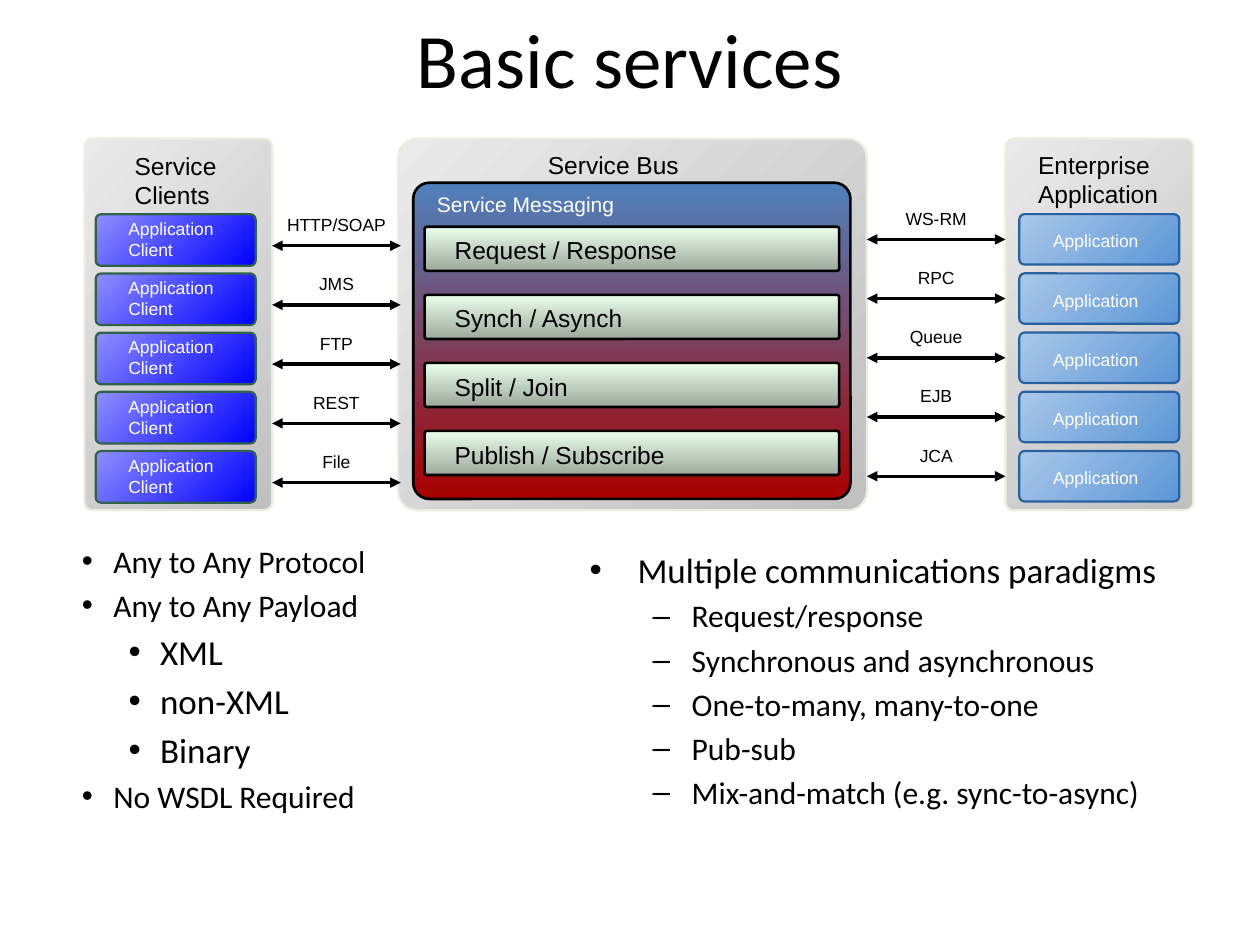
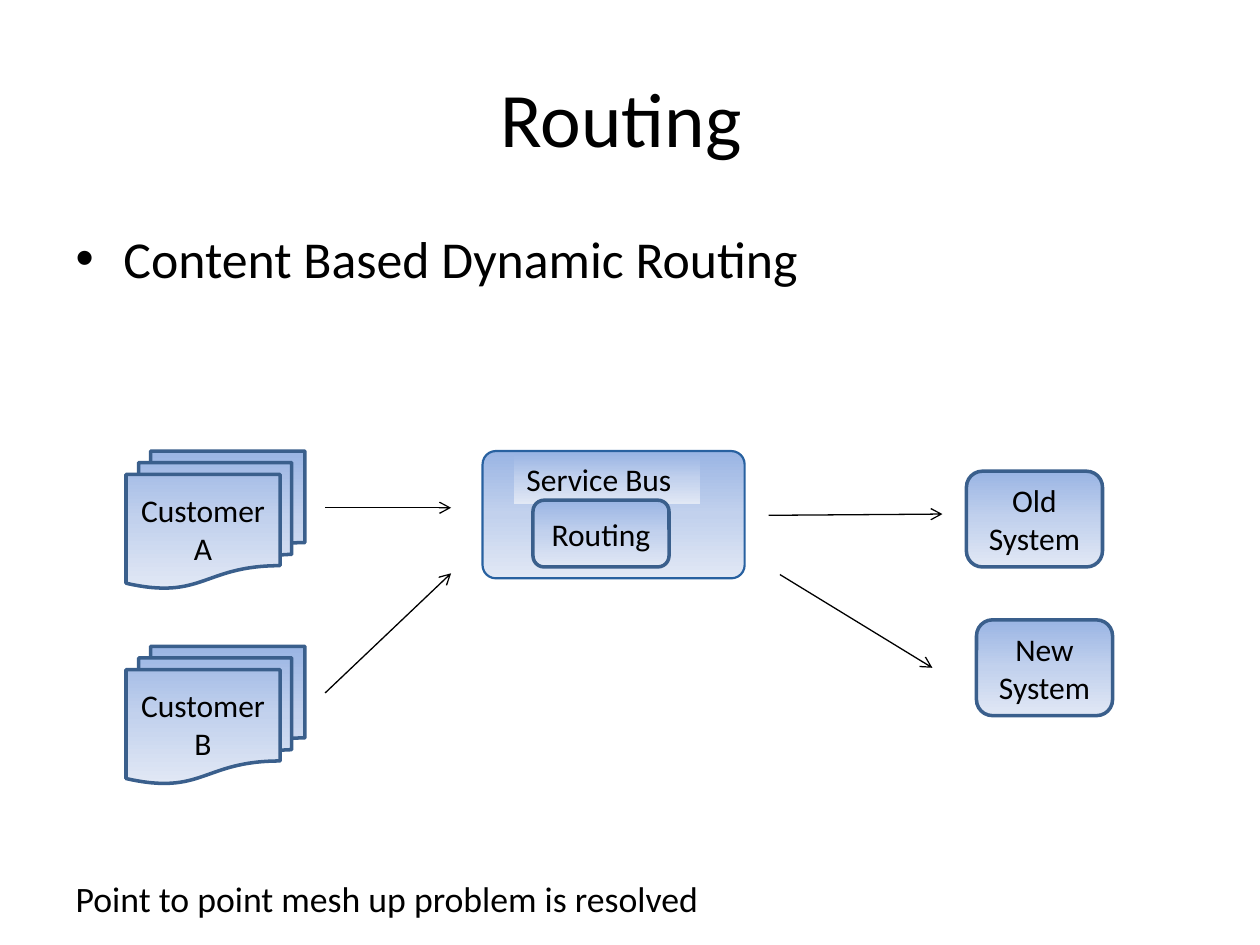
from lxml import etree
from pptx import Presentation
from pptx.dml.color import RGBColor
from pptx.enum.shapes import MSO_CONNECTOR, MSO_SHAPE
from pptx.enum.text import MSO_ANCHOR, MSO_AUTO_SIZE, PP_ALIGN
from pptx.oxml.ns import qn
from pptx.util import Inches, Pt

ROUNDED = MSO_SHAPE.ROUNDED_RECTANGLE
RECTANGLE = MSO_SHAPE.RECTANGLE
DOCUMENTS = MSO_SHAPE.FLOWCHART_MULTIDOCUMENT
STRAIGHT = MSO_CONNECTOR.STRAIGHT
LEFT, CENTER = PP_ALIGN.LEFT, PP_ALIGN.CENTER
TOP, MIDDLE = MSO_ANCHOR.TOP, MSO_ANCHOR.MIDDLE

# Shared look
COLORS = {
    "black": "000000", "white": "FFFFFF",
    "panel_light": "EAEAEA", "panel_dark": "C0C0C0", "panel_line": "EEECE1",
    "client_light": "8F8FFF", "client_dark": "0000FF", "client_line": "30624B",
    "app_light": "AAC8EA", "app_dark": "5C96D6", "app_line": "2861A0",
    "bus_top": "4F81BD", "bus_bottom": "A80000",
    "bar_top": "EBFFEB", "bar_bottom": "9CA99C",
    "box_top": "9AB5E4", "box_middle": "C2D1ED", "box_bottom": "E1E8F5",
    "box_line": "3A5F8C",
}
# Styles: gradient colours, angle, line colour, line width, corner radius
STYLES = {
    "panel": (("panel_light", "panel_dark"), 45, "panel_line", 1.25, 0.043),
    "bus_panel": (("panel_light", "panel_dark"), 45, "panel_line", 1.25, 0.051),
    "client": (("client_light", "client_dark"), 45, "client_line", 1.25, 0.104),
    "app": (("app_light", "app_dark"), 45, "app_line", 1.25, 0.104),
    "messaging": (("bus_top", "bus_bottom"), 90, "black", 1.5, 0.051),
    "bar": (("bar_top", "bar_bottom"), 90, "black", 1.5, 0.051),
    "box": (("box_top", "box_middle", "box_bottom"), 90, "box_line", 2, None),
    "bus": (("box_top", "box_middle", "box_bottom"), 90, "app_line", 1.25, 0.104),
    "bus_label": (("box_top", "box_middle", "box_bottom"), 90, None, 0, None),
}

# Content of slide 1
PANELS = [("panel", 7.98, 1.49), ("bus_panel", 3.16, 3.72), ("panel", 0.67, 1.49)]
HEADINGS = [
    (["Service", "Clients"], (0.97, 1.15, 0.89, 0.57)),
    (["Service Bus"], (4.25, 1.14, 1.25, 0.34)),
    (["Enterprise Application"], (8.14, 1.14, 1.21, 0.57)),
]
ROW_COUNT, ROW_TOP, ROW_STEP = 5, 1.7, 0.47
BARS = ["Request / Response", "Synch / Asynch", "Split / Join", "Publish / Subscribe"]
BAR_TOP, BAR_STEP = 1.8, 0.54
# Lanes: start, end, first arrow height, labels with box widths
LANES = [
    (2.16, 3.18, 1.95, [("HTTP/SOAP", 0.99), ("JMS", 0.49), ("FTP", 0.46),
                        ("REST", 0.57), ("File", 0.44)]),
    (6.88, 7.98, 1.9, [("WS-RM", 0.69), ("RPC", 0.48), ("Queue", 0.43),
                       ("EJB", 0.47), ("JCA", 0.48)]),
]
# Lists: (level, text); levels: size, left margin, hanging indent, bullet
PROTOCOL_LIST = [(0, "Any to Any Protocol"), (0, "Any to Any Payload"), (1, "XML"),
                 (1, "non-XML"), (1, "Binary"), (0, "No WSDL Required")]
PROTOCOL_LEVELS = [(18, 0.25, 0.25, "•"), (20, 0.62, 0.25, "•")]
PARADIGM_LIST = [(0, "Multiple communications paradigms"), (1, "Request/response"),
                 (1, "Synchronous and asynchronous"), (1, "One-to-many, many-to-one"),
                 (1, "Pub-sub"), (1, "Mix-and-match (e.g. sync-to-async)")]
PARADIGM_LEVELS = [(20, 0.38, 0.38, "•"), (18, 0.81, 0.31, "–")]

# Content of slide 2
ROUTING_LIST = [(0, "Content Based Dynamic Routing")]
ROUTING_LEVELS = [(29.6, 0.38, 0.38, "•")]
CLOSING_LINE = "Point to point mesh up problem is resolved"
ROUTING_BOXES = [
    (DOCUMENTS, "box", "Customer A", (1, 3.58, 1.42, 1.09), CENTER, MIDDLE),
    (DOCUMENTS, "box", "Customer B", (1, 5.13, 1.42, 1.09), CENTER, MIDDLE),
    (ROUNDED, "bus", "", (3.83, 3.58, 2.08, 1.01), CENTER, MIDDLE),
    (RECTANGLE, "bus_label", "Service Bus", (4.08, 3.6, 1.48, 0.4), LEFT, TOP),
    (ROUNDED, "box", "Routing ", (4.23, 3.97, 1.08, 0.53), CENTER, MIDDLE),
    (ROUNDED, "box", "Old System", (7.67, 3.74, 1.08, 0.76), CENTER, MIDDLE),
    (ROUNDED, "box", "New System", (7.75, 4.92, 1.08, 0.76), CENTER, MIDDLE),
]
ROUTES = [((2.58, 4.03), (3.58, 4.03)), ((2.58, 5.5), (3.58, 4.55)),
          ((6.1, 4.09), (7.48, 4.08)), ((6.19, 4.56), (7.4, 5.3))]


def rgb(name):
    return RGBColor.from_string(COLORS[name])


def write_text(shape, lines, size=18, font="Calibri", color="black", align=LEFT,
               anchor=TOP, wrap=True, margins=None, levels=None):
    """Write lines; with levels, each line is a (level, text) pair."""
    frame = shape.text_frame
    frame.auto_size = MSO_AUTO_SIZE.NONE
    frame.word_wrap = wrap
    frame.vertical_anchor = anchor
    if margins is not None:
        frame.margin_left = frame.margin_right = Inches(margins)
        frame.margin_top = frame.margin_bottom = Inches(margins)
    for index, line in enumerate(lines):
        paragraph = frame.paragraphs[0] if index == 0 else frame.add_paragraph()
        level, text = line if levels else (0, line)
        paragraph.text = text
        paragraph.alignment = align
        text_size = size
        if levels:
            text_size, left, hanging, bullet = levels[level]
            paragraph.level = level
            set_bullet(paragraph, left, hanging, bullet)
        for run in paragraph.runs:
            run.font.size = Pt(text_size)
            run.font.name = font
            run.font.color.rgb = rgb(color)


def set_bullet(paragraph, left, hanging, bullet):
    properties = paragraph._p.get_or_add_pPr()
    properties.set("marL", str(Inches(left)))
    properties.set("indent", str(-Inches(hanging)))
    if bullet:
        etree.SubElement(properties, qn("a:buChar")).set("char", bullet)
    else:
        etree.SubElement(properties, qn("a:buNone"))


def place(shape, box):
    shape.left, shape.top, shape.width, shape.height = map(Inches, box)


def add_title(slide, text, top):
    place(slide.shapes.title, (0.5, top, 9, 1.25))
    write_text(slide.shapes.title, [text], size=44, align=CENTER, anchor=MIDDLE)


def add_label(slide, lines, box, **text_format):
    write_text(slide.shapes.add_textbox(*map(Inches, box)), lines, **text_format)


def add_box(slide, style, box, kind=ROUNDED):
    names, angle, line_color, line_width, radius = STYLES[style]
    shape = slide.shapes.add_shape(kind, *map(Inches, box))
    shape.shadow.inherit = False
    if radius is not None:
        shape.adjustments[0] = radius
    # Gradient with evenly spaced stops
    shape.fill.gradient()
    shape.fill.gradient_angle = 360 - angle
    stops = shape._element.spPr.find(qn("a:gradFill")).find(qn("a:gsLst"))
    for stop in list(stops):
        stops.remove(stop)
    for index, name in enumerate(names):
        stop = etree.SubElement(stops, qn("a:gs"))
        stop.set("pos", str(100000 * index // (len(names) - 1)))
        etree.SubElement(stop, qn("a:srgbClr")).set("val", COLORS[name])
    if line_color:
        shape.line.color.rgb = rgb(line_color)
        shape.line.width = Pt(line_width)
    else:
        shape.line.fill.background()
    return shape


def add_arrow(slide, start, end, width, head=None, tail=None):
    connector = slide.shapes.add_connector(STRAIGHT, *map(Inches, start + end))
    connector.line.color.rgb = rgb("black")
    connector.line.width = Pt(width)
    properties = connector._element.spPr
    line = properties.find(qn("a:ln"))
    for tag, kind in (("a:headEnd", head), ("a:tailEnd", tail)):
        if kind:
            etree.SubElement(line, qn(tag)).set("type", kind)
    etree.SubElement(properties, qn("a:effectLst"))


def build_services(presentation):
    slide = presentation.slides.add_slide(presentation.slide_layouts[3])
    add_title(slide, "Basic services", -0.17)

    # Panels and headings
    for style, left, width in PANELS:
        add_box(slide, style, (left, 1.1, width, 2.95))
    for lines, box in HEADINGS:
        add_label(slide, lines, box, size=14, font="Arial",
                  wrap=lines == ["Enterprise Application"])

    # Client and application columns
    for row in range(ROW_COUNT):
        top = ROW_TOP + row * ROW_STEP
        add_box(slide, "client", (0.76, top, 1.27, 0.41))
        add_label(slide, ["Application\vClient"], (0.92, top - 0.02, 0.96, 0.43),
                  size=10, font="Arial", color="white", wrap=False)
        add_box(slide, "app", (8.09, top, 1.27, 0.4))
        add_label(slide, ["Application"], (8.26, top + 0.08, 0.9, 0.27),
                  size=10, font="Arial", color="white")

    # Messaging block with its bars
    add_box(slide, "messaging", (3.28, 1.45, 3.47, 2.51))
    add_label(slide, ["Service Messaging"], (3.37, 1.47, 1.7, 0.3),
              size=12, font="Arial", color="white", wrap=False)
    for index, text in enumerate(BARS):
        top = BAR_TOP + index * BAR_STEP
        add_box(slide, "bar", (3.37, top, 3.29, 0.35))
        add_label(slide, [text], (3.51, top + 0.02, 2.96, 0.33), size=14, font="Arial")

    # Protocol arrows
    for start, end, first, labels in LANES:
        for row, (text, width) in enumerate(labels):
            height = first + row * ROW_STEP
            add_arrow(slide, (start, height), (end, height), 2, "triangle", "triangle")
            add_label(slide, [text], ((start + end - width) / 2, height - 0.3, width, 0.27),
                      size=10, font="Arial", align=CENTER, wrap=False)

    # Lists
    protocols, paradigms = slide.placeholders[1], slide.placeholders[2]
    place(protocols, (0.65, 4.3, 3.97, 2.49))
    write_text(protocols, PROTOCOL_LIST, levels=PROTOCOL_LEVELS, margins=0)
    place(paradigms, (4.58, 4.3, 5.42, 2.49))
    write_text(paradigms, PARADIGM_LIST, levels=PARADIGM_LEVELS)


def build_routing(presentation):
    slide = presentation.slides.add_slide(presentation.slide_layouts[1])
    add_title(slide, "Routing ", 0.3)

    # Opening bullet and closing line share the body
    body = slide.placeholders[1]
    place(body, (0.5, 1.75, 9, 4.95))
    write_text(body, ROUTING_LIST + [(1, CLOSING_LINE)],
               levels=ROUTING_LEVELS + [(20.4, 0, 0, None)])
    closing = body.text_frame.paragraphs[-1]
    closing.level = 0
    closing.space_before = Pt(336)

    # Systems and routes
    for kind, style, text, box, align, anchor in ROUTING_BOXES:
        shape = add_box(slide, style, box, kind)
        if text:
            write_text(shape, [text], align=align, anchor=anchor)
    for start, end in ROUTES:
        add_arrow(slide, start, end, 0.75, tail="arrow")


presentation = Presentation()
presentation.slide_width, presentation.slide_height = Inches(10), Inches(7.5)
build_services(presentation)
build_routing(presentation)
presentation.save("out.pptx")
